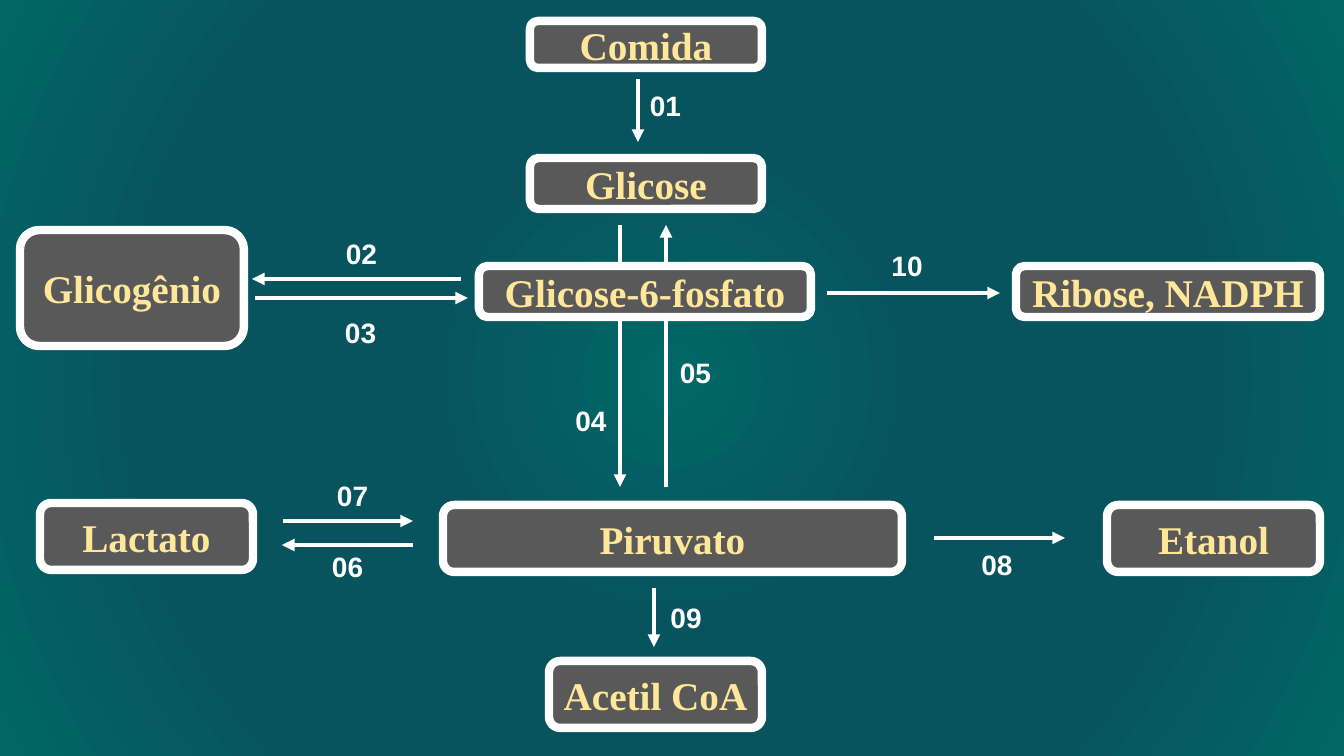
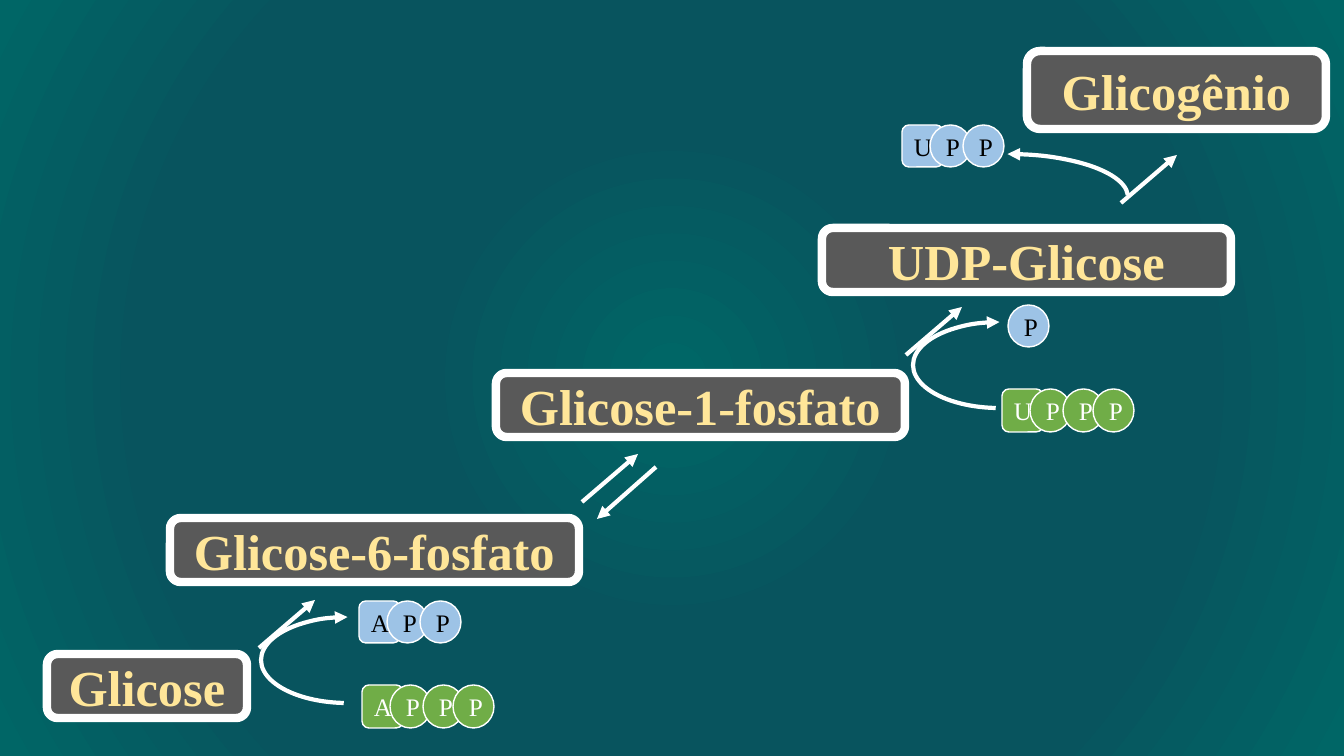
from lxml.etree import SubElement
from pptx import Presentation
from pptx.dml.color import RGBColor
from pptx.enum.shapes import MSO_CONNECTOR as Link, MSO_SHAPE as Preset
from pptx.enum.text import MSO_ANCHOR as Anchor, MSO_AUTO_SIZE as AutoSize, PP_ALIGN as Align
from pptx.oxml.ns import qn
from pptx.util import Pt

SCALE = 914400 / 100.8
TEAL = RGBColor(0x00, 0x66, 0x66)
DEEP_TEAL = RGBColor(0x08, 0x54, 0x5E)
GRAY = RGBColor(0x59, 0x59, 0x59)
CREAM = RGBColor(0xFF, 0xE6, 0x99)
GREEN = RGBColor(0x70, 0xAD, 0x47)
BLUE = RGBColor(0x9D, 0xC3, 0xE6)
WHITE = RGBColor(0xFF, 0xFF, 0xFF)
BLACK = RGBColor(0x00, 0x00, 0x00)
SERIF, SANS = "Times New Roman", "Arial"
TOKEN_OFFSETS = (0, 28, 61, 91)


def emu(*pixels):
    return [round(value * SCALE) for value in pixels]


def write_text(shape, text, font=SERIF, size=28, color=CREAM, bold=True, anchor=Anchor.MIDDLE):
    frame = shape.text_frame
    frame.word_wrap = True
    frame.vertical_anchor = anchor
    para = frame.paragraphs[0]
    para.alignment = Align.CENTER
    span = para.add_run()
    span.text = text
    span.font.name = font
    span.font.size = Pt(size)
    span.font.bold = bold
    span.font.color.rgb = color


def outline(shape, width, arrowhead=None):
    shape.line.color.rgb = WHITE
    shape.line.width = Pt(width)
    if arrowhead:
        line = shape.element.find(".//" + qn("a:ln"))
        SubElement(line, qn(arrowhead), type="triangle")


class Diagram:
    def __init__(self):
        self.deck = Presentation()
        self.deck.slide_width, self.deck.slide_height = emu(1344, 756)
        self.page = None
        self.paint_background()

    def paint_background(self):
        master = self.deck.slide_master
        master.background.fill.gradient()
        gradient = master.element.find(".//" + qn("a:gradFill"))
        for child in list(gradient):
            gradient.remove(child)
        stops = SubElement(gradient, qn("a:gsLst"))
        for percent, color in ((1, TEAL), (33, DEEP_TEAL), (68, DEEP_TEAL), (100, TEAL)):
            stop = SubElement(stops, qn("a:gs"), pos=str(percent * 1000))
            SubElement(stop, qn("a:srgbClr"), val=str(color))
        circle = SubElement(gradient, qn("a:path"), path="circle")
        SubElement(circle, qn("a:fillToRect"), l="50000", t="50000", r="50000", b="50000")

    def add_page(self):
        self.page = self.deck.slides.add_slide(self.deck.slide_layouts[6])

    def shape(self, preset, place, fill, line_width, parent=None):
        shape = (parent or self.page).shapes.add_shape(preset, *emu(*place))
        shape.shadow.inherit = False
        shape.fill.solid()
        shape.fill.fore_color.rgb = fill
        outline(shape, line_width)
        return shape

    def box(self, text, *place, size=28):
        box = self.shape(Preset.ROUNDED_RECTANGLE, place, GRAY, 6)
        write_text(box, text, size=size)

    def label(self, text, left, top, width):
        label = self.page.shapes.add_textbox(*emu(left, top, width, 44))
        write_text(label, text, font=SANS, size=20, color=WHITE, anchor=Anchor.TOP)
        label.text_frame.auto_size = AutoSize.SHAPE_TO_FIT_TEXT

    def arrow(self, *ends):
        arrow = self.page.shapes.add_connector(Link.STRAIGHT, *emu(*ends))
        outline(arrow, 3, "a:tailEnd")
        SubElement(arrow.element.spPr, qn("a:effectLst"))

    def arc(self, *place, end_angle, mirrored=False):
        arc = self.page.shapes.add_shape(Preset.ARC, *emu(*place))
        arc.shadow.inherit = False
        arc.fill.background()
        arc.adjustments[0] = 162
        arc.adjustments[1] = end_angle
        outline(arc, 3, "a:headEnd")
        if mirrored:
            arc.rotation = 180
            arc.element.spPr.find(qn("a:xfrm")).set("flipV", "1")

    def token(self, letter, left, top, fill, parent=None):
        preset = Preset.OVAL if letter == "P" else Preset.ROUNDED_RECTANGLE
        height, color = (43, WHITE) if fill == GREEN else (42, BLACK)
        token = self.shape(preset, (left, top, 41, height), fill, 1, parent)
        write_text(token, letter, size=18, color=color, bold=False)

    def molecule(self, letters, left, top, fill):
        group = self.page.shapes.add_group_shape()
        for letter, offset in zip(letters, TOKEN_OFFSETS):
            self.token(letter, left + offset, top, fill, group)


def build_overview(diagram):
    diagram.add_page()
    for ends in (
        (461, 279, 252, 279),
        (255, 298, 468, 298),
        (620, 225, 620, 487),
        (666, 487, 666, 225),
        (827, 293, 1000, 293),
        (934, 538, 1065, 538),
        (654, 588, 654, 647),
        (638, 79, 638, 142),
        (283, 521, 413, 521),
        (413, 545, 282, 545),
    ):
        diagram.arrow(*ends)
    for text, *place in (
        ("Comida", 530, 21, 232, 47),
        ("Glicose", 530, 158, 232, 51),
        ("Glicogênio", 20, 230, 224, 116),
        ("Glicose-6-fosfato", 479, 266, 332, 51),
        ("Ribose, NADPH", 1016, 266, 304, 51),
        ("Lactato", 40, 503, 213, 67),
        ("Piruvato", 443, 505, 459, 67),
        ("Etanol", 1107, 505, 213, 67),
        ("Acetil CoA", 549, 661, 213, 67),
    ):
        diagram.box(text, *place)
    for text, *place in (
        ("01", 633, 84, 65),
        ("02", 329, 232, 65),
        ("03", 245, 311, 231),
        ("04", 562, 399, 58),
        ("05", 666, 351, 59),
        ("06", 318, 545, 59),
        ("07", 323, 474, 59),
        ("08", 965, 543, 64),
        ("09", 654, 596, 64),
        ("10", 875, 244, 64),
    ):
        diagram.label(text, *place)


def build_glycogen_synthesis(diagram):
    diagram.add_page()
    diagram.box("Glicose", 47, 654, 200, 64, size=36)
    for step, text in enumerate(("Glicose-6-fosfato", "Glicose-1-fosfato", "UDP-Glicose")):
        diagram.box(text, 170 + 326 * step, 518 - 145 * step, 409, 64, size=36)
    diagram.box("Glicogênio", 1027, 51, 299, 78, size=36)
    for left, bottom in ((259, 648), (582, 502), (906, 355), (1121, 203)):
        diagram.arrow(left, bottom, left + 56, bottom - 48)
    diagram.arrow(656, 467, 597, 519)
    for letters, left, top, fill in (
        ("APPP", 362, 685, GREEN),
        ("APP", 359, 601, BLUE),
        ("UPPP", 1002, 389, GREEN),
        ("UPP", 902, 125, BLUE),
    ):
        diagram.molecule(letters, left, top, fill)
    diagram.token("P", 1008, 305, BLUE)
    for left, top in ((261, 617), (913, 322)):
        diagram.arc(left, top, 173, 86, end_angle=50.98, mirrored=True)
    diagram.arc(887, 154, 241, 86, end_angle=215.43)


diagram = Diagram()
build_overview(diagram)
build_glycogen_synthesis(diagram)
diagram.deck.save("out.pptx")
